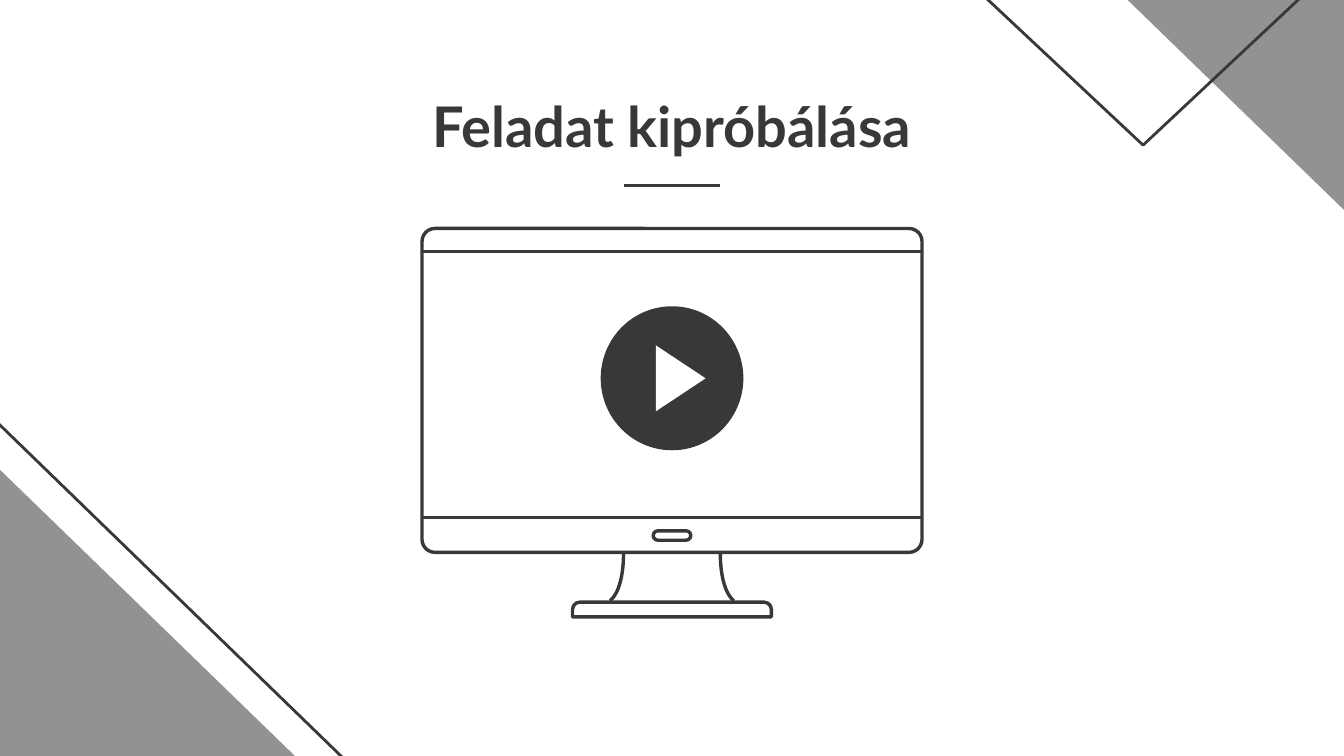
"""Build a title slide with a video player on a monitor."""
from dataclasses import dataclass
from typing import Optional

from lxml import etree
from pptx import Presentation
from pptx import util as u
from pptx.dml.color import RGBColor
from pptx.enum import shapes, text
from pptx.oxml.ns import qn

DARK, GRAY, WHITE = "383838", "929292", "FFFFFF"
KIND = shapes.MSO_SHAPE
SLIDE_WIDTH = 10
SLIDE_HEIGHT = SLIDE_WIDTH * 9 / 16
CENTER = SLIDE_WIDTH / 2
FRAME_LEFT, FRAME_RIGHT = 3.14, 6.86
FRAME_WEIGHT = 1.8


@dataclass
class Figure:
    kind: int
    left: float
    top: float
    width: float
    height: float
    fill: Optional[str] = None
    line: Optional[str] = None
    weight: float = 1.5
    rotation: float = 0
    adjustments: tuple = ()


def color(value: str) -> RGBColor:
    return RGBColor.from_string(value)


def style(shape, fill: Optional[str], line: Optional[str], weight: float) -> None:
    shape.shadow.inherit = False
    if fill:
        shape.fill.solid()
        shape.fill.fore_color.rgb = color(fill)
    else:
        shape.fill.background()
    if line:
        shape.line.color.rgb = color(line)
        shape.line.width = u.Pt(weight)
    else:
        shape.line.fill.background()


def draw_figure(slide, figure: Figure) -> None:
    box = map(u.Inches, (figure.left, figure.top, figure.width, figure.height))
    shape = slide.shapes.add_shape(figure.kind, *box)
    for index, value in enumerate(figure.adjustments):
        shape.adjustments[index] = value
    shape.rotation = figure.rotation
    style(shape, figure.fill, figure.line, figure.weight)


def draw_rule(slide, left: float, right: float, y: float, weight: float) -> None:
    connector = slide.shapes.add_connector(
        shapes.MSO_CONNECTOR.STRAIGHT,
        u.Inches(left), u.Inches(y), u.Inches(right), u.Inches(y))
    connector.line.color.rgb = color(DARK)
    connector.line.width = u.Pt(weight)
    etree.SubElement(connector._element.spPr, qn("a:effectLst"))


def draw_neck_side(slide, side: int) -> None:
    controls = ((0.36, 4.11), (0.36, 4.32), (0.41, 4.43), (0.46, 4.47))
    points = []
    for step in range(17):
        t = step / 16
        weights = ((1 - t) ** 3, 3 * t * (1 - t) ** 2, 3 * t ** 2 * (1 - t), t ** 3)
        offset, y = (sum(w * point[axis] for w, point in zip(weights, controls))
                     for axis in (0, 1))
        points.append((u.Inches(CENTER + side * offset), u.Inches(y)))
    builder = slide.shapes.build_freeform(*points[0])
    builder.add_line_segments(points[1:], close=False)
    style(builder.convert_to_shape(), None, DARK, FRAME_WEIGHT)


def draw_title(slide, title: str) -> None:
    box = slide.shapes.add_textbox(*map(u.Inches, (2.16, 0.58, 5.68, 0.58)))
    frame = box.text_frame
    frame.word_wrap = True
    frame.vertical_anchor = text.MSO_ANCHOR.TOP
    frame.margin_left = frame.margin_right = u.Inches(0.1)
    frame.margin_top = frame.margin_bottom = u.Inches(0.1)
    paragraph = frame.paragraphs[0]
    paragraph.alignment = text.PP_ALIGN.CENTER
    run = paragraph.add_run()
    run.text = title
    run.font.name = "Lato"
    run.font.size = u.Pt(30)
    run.font.bold = True
    run.font.color.rgb = color(DARK)


CORNERS = (
    Figure(KIND.RIGHT_TRIANGLE, -0.57, 2.61, 3.72, 3.61, line=DARK),
    Figure(KIND.RIGHT_TRIANGLE, -0.81, 2.71, 3.72, 3.61, fill=GRAY),
    Figure(KIND.RIGHT_TRIANGLE, 7.36, -1, 3.72, 3.61, fill=GRAY, rotation=180),
    Figure(KIND.ISOSCELES_TRIANGLE, 5.57, -1.67, 5.87, 2.75, line=DARK, rotation=180),
)
MONITOR = (
    Figure(KIND.ROUNDED_RECTANGLE, FRAME_LEFT, 1.7, FRAME_RIGHT - FRAME_LEFT, 2.41,
           line=DARK, weight=FRAME_WEIGHT, adjustments=(0.04,)),
    Figure(KIND.ROUND_2_SAME_RECTANGLE, 4.26, 4.48, 1.48, 0.11,
           line=DARK, weight=FRAME_WEIGHT, adjustments=(0.5, 0)),
    Figure(KIND.ROUNDED_RECTANGLE, 4.86, 3.95, 0.28, 0.07,
           line=DARK, weight=FRAME_WEIGHT, adjustments=(0.5,)),
)
PLAY_BUTTON = (
    Figure(KIND.OVAL, 4.49, 2.3, 1.02, 1.03, fill=DARK, line=DARK, weight=3),
    Figure(KIND.ISOSCELES_TRIANGLE, 4.82, 2.63, 0.49, 0.37, fill=WHITE, rotation=90),
)


def main() -> None:
    presentation = Presentation()
    presentation.slide_width = u.Inches(SLIDE_WIDTH)
    presentation.slide_height = u.Inches(SLIDE_HEIGHT)
    slide = presentation.slides.add_slide(presentation.slide_layouts[6])
    slide.background.fill.solid()
    slide.background.fill.fore_color.rgb = color(WHITE)
    for figure in CORNERS:
        draw_figure(slide, figure)
    draw_title(slide, "Feladat kipróbálása")
    for figure in MONITOR:
        draw_figure(slide, figure)
    for y in (1.87, 3.85):
        draw_rule(slide, FRAME_LEFT, FRAME_RIGHT, y, FRAME_WEIGHT)
    for side in (-1, 1):
        draw_neck_side(slide, side)
    for figure in PLAY_BUTTON:
        draw_figure(slide, figure)
    draw_rule(slide, 4.64, 5.36, 1.38, 1.5)
    presentation.save("out.pptx")


main()
